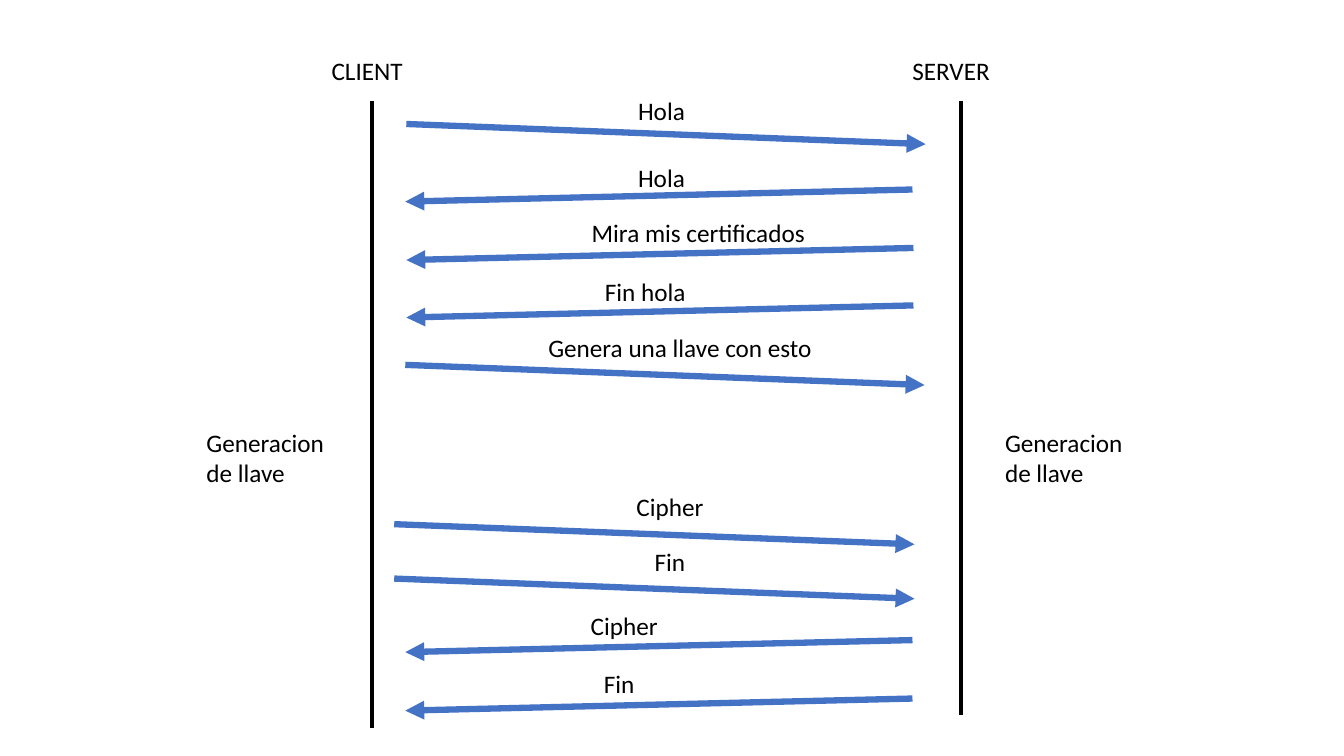
"""Build a slide showing the handshake messages between a client and a server."""
from typing import NamedTuple

from lxml import etree
from pptx import Presentation
from pptx.dml.color import RGBColor
from pptx.enum import shapes, text
from pptx.oxml import ns
from pptx.util import Inches, Pt

BLACK = "000000"
BLUE = "4472C4"
RIGHT_DROP = 0.2
LEFT_DROP = 0.12


class Label(NamedTuple):
    text: str
    left: float
    top: float
    width: float = 2.08
    height: float = 0.4
    centered: bool = False


class Message(NamedTuple):
    start_x: float
    end_x: float
    y: float
    label: Label


LIFELINES = [(3.69, 7.22), (9.53, 7.09)]

LABELS = [
    Label("CLIENT", 3.19, 0.5),
    Label("SERVER", 8.95, 0.5),
    Label("Generacion de llave", 1.95, 4.19, 1.44, 0.71),
    Label("Generacion de llave", 9.87, 4.19, 1.44, 0.71),
]

MESSAGES = [
    Message(4.03, 9.18, 1.23, Label("Hola", 6.23, 0.9)),
    Message(9.05, 4.02, 1.88, Label("Hola", 6.23, 1.56)),
    Message(9.06, 4.03, 2.46, Label("Mira mis certificados", 5.77, 2.11, 2.35)),
    Message(9.06, 4.03, 3.03, Label("Fin hola", 5.9, 2.69)),
    Message(4.02, 9.17, 3.62, Label("Genera una llave con esto", 5.34, 3.25, 2.83)),
    Message(3.91, 9.07, 5.2, Label("Cipher", 5.23, 4.83, 2.83, centered=True)),
    Message(3.91, 9.07, 5.74, Label("Fin", 5.23, 5.37, 2.83, centered=True)),
    Message(9.05, 4.02, 6.35, Label("Cipher", 5.76, 6.01, 2.35)),
    Message(9.05, 4.02, 6.93, Label("Fin", 5.89, 6.58)),
]


def rgb(value: str) -> RGBColor:
    return RGBColor.from_string(value)


def add_line(s, x1: float, y1: float, x2: float, y2: float,
             color: str, width: float, arrow: bool = False) -> None:
    c = s.shapes.add_connector(shapes.MSO_CONNECTOR.STRAIGHT,
                               Inches(x1), Inches(y1), Inches(x2), Inches(y2))
    c.line.color.rgb = rgb(color)
    c.line.width = Pt(width)
    if arrow:
        etree.SubElement(c.line._ln, ns.qn("a:tailEnd"), type="triangle")
    etree.SubElement(c._element.spPr, ns.qn("a:effectLst"))


def add_label(s, label: Label) -> None:
    sp = s.shapes.add_textbox(Inches(label.left), Inches(label.top),
                              Inches(label.width), Inches(label.height))
    tf = sp.text_frame
    tf.word_wrap = True
    tf.auto_size = text.MSO_AUTO_SIZE.SHAPE_TO_FIT_TEXT
    p = tf.paragraphs[0]
    p.text = label.text
    p.alignment = text.PP_ALIGN.CENTER if label.centered else text.PP_ALIGN.LEFT
    p.font.name = "Calibri"
    p.font.size = Pt(18)
    p.font.color.rgb = rgb(BLACK)


def add_message(s, message: Message) -> None:
    drop = RIGHT_DROP if message.end_x > message.start_x else LEFT_DROP
    add_line(s, message.start_x, message.y, message.end_x, message.y + drop,
             BLUE, 4.5, arrow=True)
    add_label(s, message.label)


def main() -> None:
    prs = Presentation()
    prs.slide_width = Inches(13.33)
    prs.slide_height = Inches(7.5)
    s = prs.slides.add_slide(prs.slide_layouts[6])
    for x, bottom in LIFELINES:
        add_line(s, x, 1, x, bottom, BLACK, 3.25)
    for label in LABELS:
        add_label(s, label)
    for message in MESSAGES:
        add_message(s, message)
    prs.save("out.pptx")


if __name__ == "__main__":
    main()
